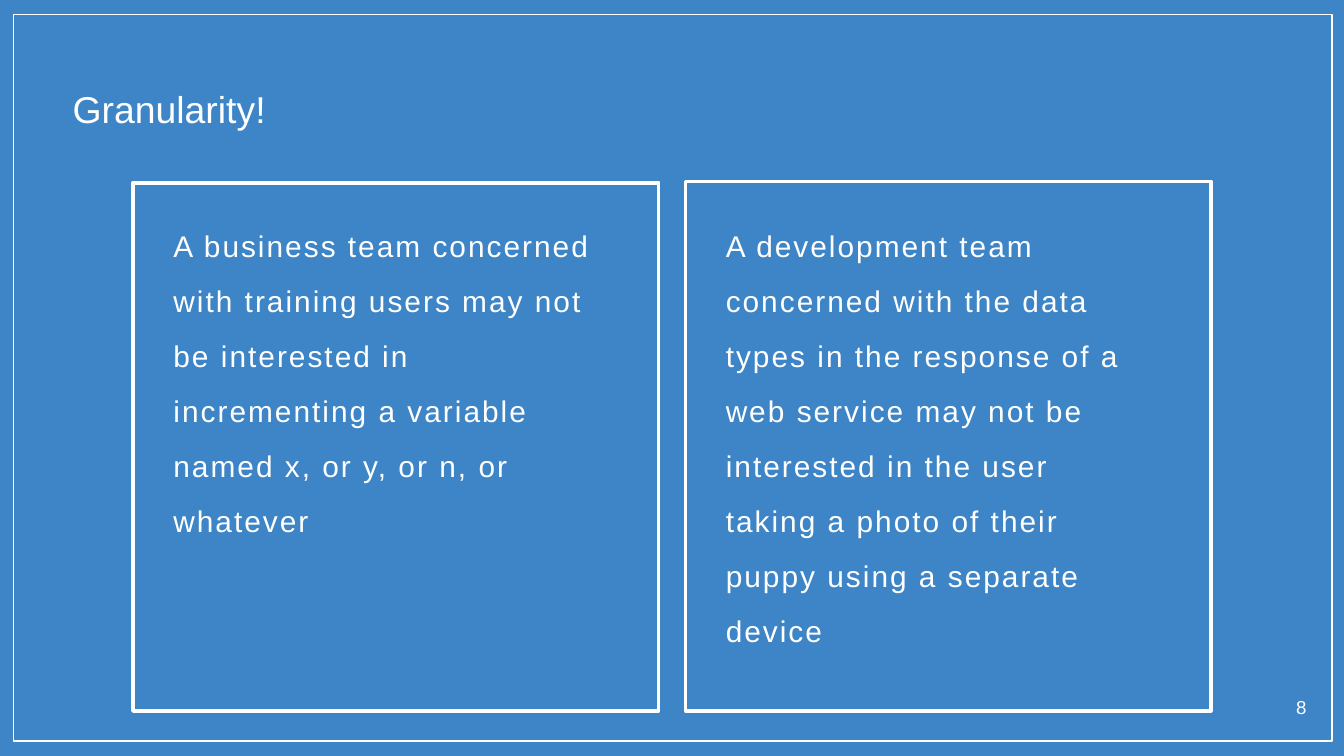
from pptx import Presentation
from pptx.dml.color import RGBColor
from pptx.enum import shapes, text
from pptx.util import Pt

BLUE = RGBColor(0x3D, 0x85, 0xC6)
WHITE = RGBColor(0xFF, 0xFF, 0xFF)

TEAMS = [
    (71.3, 97.9,
     "A business team concerned with training users may not be interested in "
     "incrementing a variable named x, or y, or n, or whatever", 177.8),
    (367.2, 97.2,
     "A development team concerned with the data types in the response of a web "
     "service may not be interested in the user taking a photo of their puppy "
     "using a separate device", 239),
]
CARD_WIDTH = 281.5
CARD_BOTTOM = 380.9
STATEMENT_TOP = 111.6
STATEMENT_WIDTH = 226
STATEMENT_INDENT = 21.6


def apply(target, formats):
    for name, value in formats.items():
        setattr(target, name, value)


class SlideStyle:
    font = "Arial"
    color = WHITE

    def __init__(self, slide):
        self.slide = slide
        fill = slide.background.fill
        fill.solid()
        fill.fore_color.rgb = BLUE

    def fill_text(self, holder, words, size, inset=7.2, align=text.PP_ALIGN.LEFT,
                  auto_size=text.MSO_AUTO_SIZE.NONE):
        frame = holder.text_frame
        margins = ("margin_left", "margin_top", "margin_right", "margin_bottom")
        apply(frame, dict.fromkeys(margins, Pt(inset)))
        apply(frame, {"word_wrap": True, "auto_size": auto_size,
                      "vertical_anchor": text.MSO_ANCHOR.TOP})
        paragraph = frame.paragraphs[0]
        paragraph.alignment = align
        run = paragraph.add_run()
        run.text = words
        apply(run.font, {"name": self.font, "size": Pt(size)})
        run.font.color.rgb = self.color
        return paragraph

    def title(self, words, left, top, width, height):
        title = self.slide.shapes.title
        apply(title, {"left": Pt(left), "top": Pt(top),
                      "width": Pt(width), "height": Pt(height)})
        self.fill_text(title, words, 20)

    def page_number(self, number, *bounds):
        holder = self.slide.shapes.add_textbox(*map(Pt, bounds))
        self.fill_text(holder, number, 10, align=text.PP_ALIGN.RIGHT)

    def statement(self, words, *bounds):
        holder = self.slide.shapes.add_textbox(*map(Pt, bounds))
        paragraph = self.fill_text(holder, words, 16, inset=0,
                                   auto_size=text.MSO_AUTO_SIZE.SHAPE_TO_FIT_TEXT)
        paragraph.line_spacing = Pt(29.5)
        paragraph.runs[0].font._element.set("spc", "110")

    def outline(self, weight, *bounds):
        border = self.slide.shapes.add_shape(shapes.MSO_SHAPE.RECTANGLE, *map(Pt, bounds))
        border.shadow.inherit = False
        border.fill.background()
        border.line.color.rgb = self.color
        border.line.width = Pt(weight)


def main():
    deck = Presentation()
    apply(deck, {"slide_width": Pt(720), "slide_height": Pt(405)})
    style = SlideStyle(deck.slides.add_slide(deck.slide_layouts[5]))
    style.outline(0.75, 7.2, 7.7, 706.3, 389.4)
    style.title("Granularity!", 31.7, 38.9, 648, 32.4)
    style.page_number("8", 671, 365.8, 36, 23)
    for left, top, words, height in TEAMS:
        style.statement(words, left + STATEMENT_INDENT, STATEMENT_TOP,
                        STATEMENT_WIDTH, height)
    for left, top, words, height in TEAMS:
        style.outline(2, left, top, CARD_WIDTH, CARD_BOTTOM - top)
    deck.save("out.pptx")


if __name__ == "__main__":
    main()
